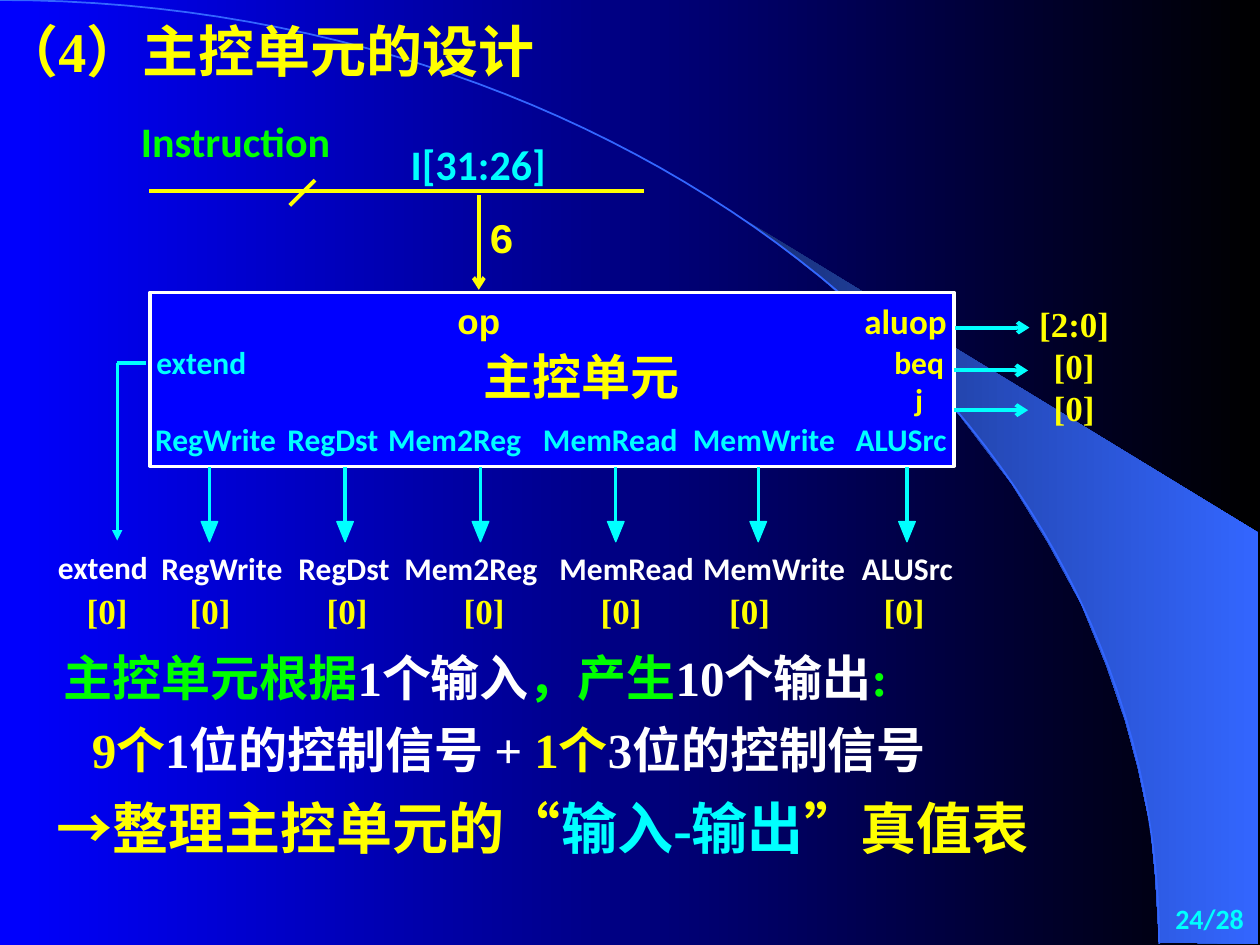
from dataclasses import dataclass
from typing import NamedTuple

from lxml.etree import SubElement
from pptx import Presentation
from pptx.dml.color import RGBColor
from pptx.dml.fill import FillFormat
from pptx.enum.shapes import MSO_CONNECTOR, MSO_SHAPE
from pptx.enum.text import MSO_ANCHOR, MSO_AUTO_SIZE, PP_ALIGN
from pptx.oxml.ns import qn
from pptx.shapes.autoshape import Shape
from pptx.slide import Slide
from pptx.util import Pt


@dataclass(frozen=True)
class Theme:
    blue: str = "0000FF"
    black: str = "000000"
    navy: str = "182F76"
    sky: str = "3366FF"
    yellow: str = "FFFF00"
    cyan: str = "00FFFF"
    green: str = "00FF00"
    white: str = "FFFFFF"
    serif: str = "Times New Roman"
    sans: str = "Calibri"
    plain: str = "Arial"
    mono: str = "Courier New"
    han: str = "Noto Sans CJK SC"
    head: float = 32
    body: float = 28
    label: float = 24
    value: float = 20
    port: float = 18
    foot: float = 16
    thin: float = 1.87
    thick: float = 2.25


class Signal(NamedTuple):
    name: str
    width: float
    inner: float
    outer: float
    wire: float
    value: float


Point = tuple[float, float]
Box = tuple[float, float, float, float]
Runs = list[tuple[str, str]]

THEME = Theme()
INSET = (7.2, 3.6)

SIGNALS = [
    Signal("RegWrite", 70.6, 88.6, 92.2, 119.7, 120),
    Signal("RegDst", 52.6, 164.2, 170.6, 197.2, 198.3),
    Signal("Mem2Reg", 76.3, 221.8, 231.1, 274.6, 276.6),
    Signal("MemRead", 77, 310.3, 319.7, 351.9, 354.9),
    Signal("MemWrite", 82.1, 396, 401.8, 433.3, 428.3),
    Signal("ALUSrc", 52.6, 488.9, 492.5, 518.3, 516.6),
]

SWOOSH: list[Point] = [
    (662.4, 538.6), (719.3, 539.3), (719.3, 304.6), (424.1, 124.6),
    (449.3, 143.3), (470.2, 159.8), (493.2, 180), (515.5, 201.6),
    (548.6, 237.6), (578.2, 276.5), (599, 310.3), (617.8, 344.9),
    (632.2, 380.2), (643, 411.8), (650.2, 438.5), (657.4, 472.3),
    (660.2, 501.1),
]


def color(code: str) -> RGBColor:
    return RGBColor.from_string(code)


def blend(fill: FillFormat, start: str, end: str) -> None:
    fill.gradient()
    fill.gradient_angle = 0
    for stop, code, place in zip(fill.gradient_stops, (start, end), (0, 1)):
        stop.color.rgb = color(code)
        stop.position = place


def write(slide: Slide, text: str | Runs, box: Box, *, size: float,
          ink: str = THEME.yellow, font: str = THEME.sans,
          align: PP_ALIGN = PP_ALIGN.LEFT, inset: Point = (0, 0),
          wrap: bool = False, anchor: MSO_ANCHOR = MSO_ANCHOR.TOP,
          shape: Shape | None = None) -> None:
    place = [Pt(n) for n in box]
    if shape is None:
        shape = slide.shapes.add_textbox(*place)
    else:
        shape.left, shape.top, shape.width, shape.height = place
    frame = shape.text_frame
    frame.auto_size = MSO_AUTO_SIZE.NONE
    frame.word_wrap = wrap
    frame.vertical_anchor = anchor
    frame.margin_left = frame.margin_right = Pt(inset[0])
    frame.margin_top = frame.margin_bottom = Pt(inset[1])
    lines = ([[(row, ink)] for row in text.split("\n")]
             if isinstance(text, str) else [text])
    for i, line in enumerate(lines):
        para = frame.add_paragraph() if i else frame.paragraphs[0]
        para.alignment = align
        for words, tint in line:
            run = para.add_run()
            run.text = words
            run.font.size = Pt(size)
            run.font.bold = True
            run.font.name = font
            run.font.color.rgb = color(tint)
            SubElement(run.font._element, qn("a:ea"), typeface=THEME.han)


def wire(slide: Slide, start: Point, end: Point, *, ink: str = THEME.cyan,
         width: float = THEME.thick, tip: str = "") -> None:
    line = slide.shapes.add_connector(
        MSO_CONNECTOR.STRAIGHT, *(Pt(n) for n in (*start, *end)))
    line.line.color.rgb = color(ink)
    line.line.width = Pt(width)
    if tip:
        SubElement(line.line._get_or_add_ln(), qn("a:tailEnd"), type=tip)
    SubElement(line.element.spPr, qn("a:effectLst"))


def trace(slide: Slide, dots: list[Point], close: bool = True) -> Shape:
    first, *rest = [(Pt(x), Pt(y)) for x, y in dots]
    pen = slide.shapes.build_freeform(*first, scale=1.0)
    pen.add_line_segments(rest, close=close)
    shape = pen.convert_to_shape()
    shape.shadow.inherit = False
    return shape


def curve(t: float) -> Point:
    wide, high, bend_x, bend_y = 662.4, 539.3, 365.8, 241.2
    x = 3 * (1 - t) ** 2 * t * bend_x + (3 * (1 - t) * t ** 2 + t ** 3) * wide
    y = 3 * (1 - t) * t ** 2 * bend_y + t ** 3 * high
    return x, y


def backdrop(slide: Slide) -> None:
    blend(slide.background.fill, THEME.blue, THEME.black)
    wing = trace(slide, SWOOSH)
    blend(wing.fill, THEME.navy, THEME.sky)
    wing.line.fill.background()
    arc = trace(slide, [curve(i / 60) for i in range(61)], close=False)
    arc.fill.background()
    arc.line.color.rgb = color(THEME.sky)
    arc.line.width = Pt(1)


def unit(slide: Slide) -> None:
    block = slide.shapes.add_shape(
        MSO_SHAPE.RECTANGLE, Pt(85.7), Pt(167), Pt(459.4), Pt(99.4))
    block.shadow.inherit = False
    block.fill.solid()
    block.fill.fore_color.rgb = color(THEME.blue)
    block.line.color.rgb = color(THEME.white)
    block.line.width = Pt(THEME.thin)
    write(slide, "主控单元", (276.5, 198, 111.6, 33.8), size=THEME.body,
          font=THEME.han)
    write(slide, "op", (261.4, 171.4, 24.5, 23.8), size=THEME.value,
          font=THEME.plain)


def source(slide: Slide) -> None:
    write(slide, "I[31:26]", (234.7, 79.2, 77, 28.8), size=THEME.label,
          ink=THEME.cyan)
    write(slide, "6", (279.4, 121, 14.4, 28.8), size=THEME.label,
          font=THEME.mono)
    write(slide, "Instruction", (80.6, 66.2, 124.6, 28.8), size=THEME.label,
          ink=THEME.green, wrap=True)
    wire(slide, (273.6, 111.6), (273.6, 165.6), ink=THEME.yellow, tip="arrow")
    wire(slide, (367.9, 109.4), (85, 109.4), ink=THEME.yellow)
    wire(slide, (180, 103), (165.6, 117.4), ink=THEME.yellow)


def value(slide: Slide, mid: float, top: float, text: str = "[0]") -> None:
    write(slide, text, (mid - 27, top, 54, 31.7), size=THEME.value,
          font=THEME.serif, align=PP_ALIGN.CENTER, inset=INSET)


def outputs(slide: Slide) -> None:
    for sig in SIGNALS:
        x = sig.wire
        tip = trace(slide, [(x, 309.6), (x - 4.7, 298.1), (x + 4.7, 298.1)])
        tip.fill.solid()
        tip.fill.fore_color.rgb = color(THEME.cyan)
        tip.line.color.rgb = color(THEME.cyan)
        tip.line.width = Pt(0.75)
        wire(slide, (x, 267.1), (x, 306), width=THEME.thin)
        for left, top, ink in ((sig.inner, 239.8, THEME.cyan),
                               (sig.outer, 313.9, THEME.white)):
            write(slide, sig.name, (left, top, sig.width, 21.6),
                  size=THEME.port, ink=ink)
        value(slide, sig.value, 333.4)
    wire(slide, (67, 207.4), (83.5, 207.4))
    wire(slide, (67, 207.4), (67, 308.9), width=THEME.thin, tip="triangle")
    for left, top, ink in ((89.3, 195.8, THEME.cyan),
                           (33.1, 313.2, THEME.white)):
        write(slide, "extend", (left, top, 51.8, 21.6), size=THEME.port,
              ink=ink)
    value(slide, 61.2, 333.4)


def branches(slide: Slide) -> None:
    write(slide, "aluop", (493.9, 171.4, 46.8, 23.8), size=THEME.value)
    write(slide, "beq\nj", (511.2, 195.8, 28.1, 43.2), size=THEME.port,
          align=PP_ALIGN.CENTER)
    value(slide, 613.8, 169.2, "[2:0]\n[0]\n[0]")
    for left, y in ((545.8, 187.2), (545, 211.7), (545, 234.4)):
        wire(slide, (left, y), (left + 42.5, y), tip="arrow")


def notes(slide: Slide) -> None:
    green, white, yellow = THEME.green, THEME.white, THEME.yellow
    write(slide, [("主控单元根据", green), ("1个输入", white),
                  ("，产生", green), ("10个输出", white), (":", green)],
          (29.5, 366.5, 560, 41), size=THEME.body, font=THEME.serif,
          inset=INSET, wrap=True)
    write(slide, [("9个", yellow), ("1位的控制信号 + ", white),
                  ("1个", yellow), ("3位的控制信号", white)],
          (45.4, 407.5, 560, 41), size=THEME.body, font=THEME.serif,
          inset=INSET, wrap=True)
    write(slide, [("→整理主控单元的“", yellow), ("输入-输出", THEME.cyan),
                  ("”真值表", yellow)],
          (25.2, 450, 629.3, 46), size=THEME.head, font=THEME.serif,
          inset=INSET, wrap=True)
    write(slide, "24/28", (632.9, 510.5, 85, 28.1), size=THEME.foot,
          ink=THEME.cyan, align=PP_ALIGN.RIGHT, inset=INSET, wrap=True,
          anchor=MSO_ANCHOR.MIDDLE)


def main() -> None:
    deck = Presentation()
    deck.slide_width, deck.slide_height = Pt(720), Pt(540)
    slide = deck.slides.add_slide(deck.slide_layouts[5])
    backdrop(slide)
    title = slide.shapes.title
    slide.shapes.element.append(title.element)
    write(slide, "（4）主控单元的设计", (-5.8, 5.8, 360, 46), size=THEME.head,
          font=THEME.serif, inset=INSET, wrap=True, shape=title)
    for draw in (unit, source, outputs, branches, notes):
        draw(slide)
    deck.save("out.pptx")


if __name__ == "__main__":
    main()
